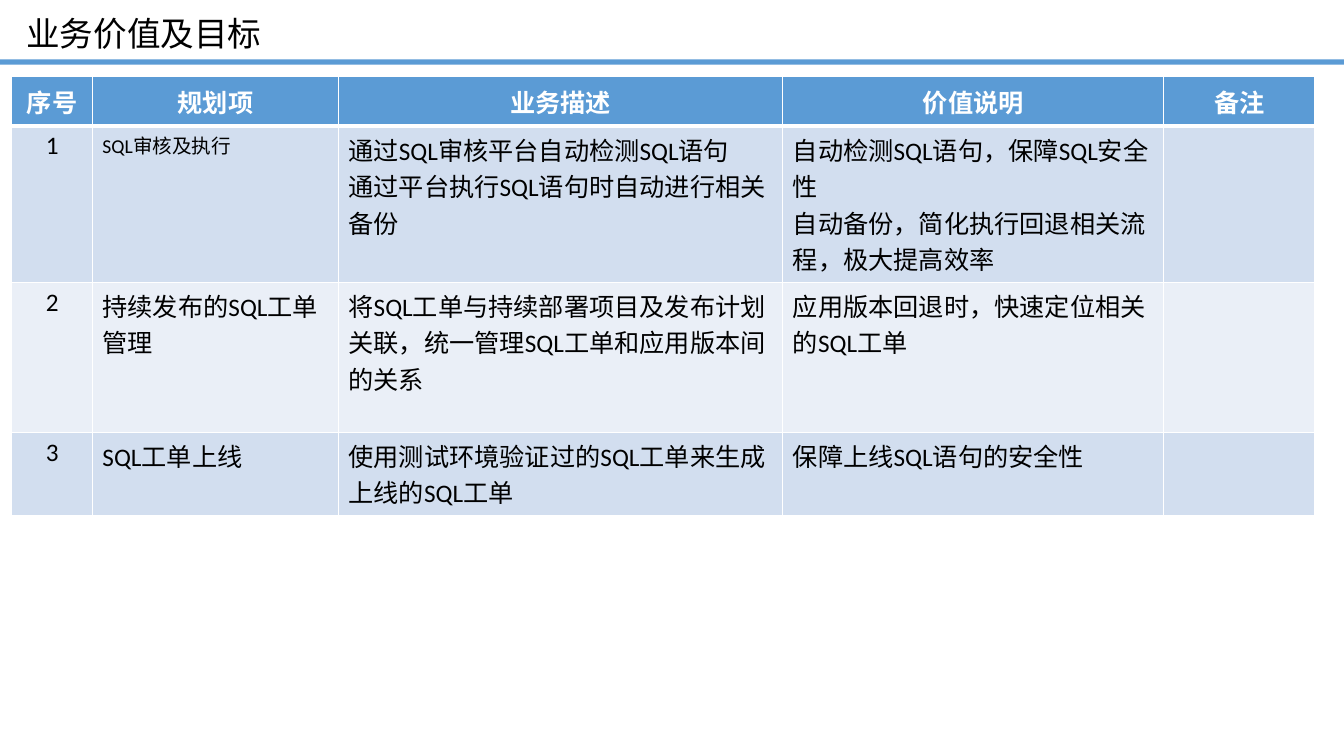
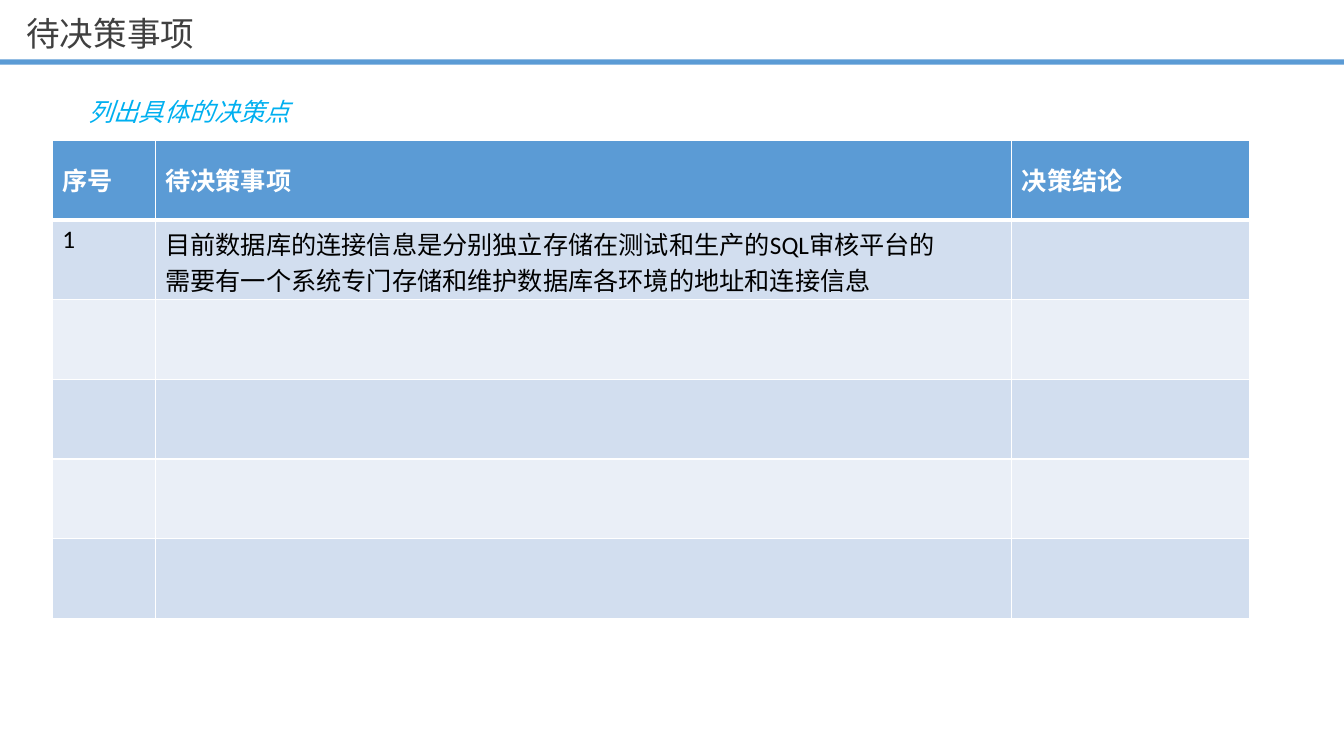
from lxml import etree
from pptx import Presentation
from pptx import util as u
from pptx.dml.color import RGBColor
from pptx.enum import shapes, text
from pptx.oxml import ns

BLUE = "5B9BD5"
BANDS = ("D2DEEF", "EAEFF7")
WHITE = "FFFFFF"
BLACK = "000000"
LATIN = "Calibri"
CHINESE = "Noto Sans CJK SC"
PAGE_WIDTH, PAGE_HEIGHT = 33.87, 19.05

GOALS = [
    ["序号", "规划项", "业务描述", "价值说明", "备注"],
    ["1", "SQL审核及执行",
     "通过SQL审核平台自动检测SQL语句\n通过平台执行SQL语句时自动进行相关备份",
     "自动检测SQL语句，保障SQL安全性\n自动备份，简化执行回退相关流程，极大提高效率", ""],
    ["2", "持续发布的SQL工单管理",
     "将SQL工单与持续部署项目及发布计划关联，统一管理SQL工单和应用版本间的关系",
     "应用版本回退时，快速定位相关的SQL工单", ""],
    ["3", "SQL工单上线", "使用测试环境验证过的SQL工单来生成上线的SQL工单",
     "保障上线SQL语句的安全性", ""],
]
DECISIONS = [
    ["序号", "待决策事项", "决策结论"],
    ["1", "目前数据库的连接信息是分别独立存储在测试和生产的SQL审核平台的\n"
          "需要有一个系统专门存储和维护数据库各环境的地址和连接信息", ""],
] + [[""] * 3 for _ in range(4)]


def color(value):
    return RGBColor.from_string(value)


def paint(target, value):
    target.fill.solid()
    target.fill.fore_color.rgb = color(value)


def add_span(para, words, size, ink, font=LATIN, bold=False, italic=False):
    span = para.add_run()
    span.text = words
    span.font.size = u.Pt(size)
    span.font.name = font
    span.font.bold = bold
    span.font.italic = italic
    span.font.color.rgb = color(ink)
    east_asian = etree.SubElement(span.font._element, ns.qn("a:ea"))
    east_asian.set("typeface", CHINESE)


def add_band(page, layout):
    band = page.shapes.add_shape(shapes.MSO_SHAPE.RECTANGLE, 0, u.Cm(1.5),
                                 u.Cm(PAGE_WIDTH), u.Cm(0.13))
    band.shadow.inherit = False
    paint(band, BLUE)
    band.line.fill.background()
    layout.shapes.element.append(band.element)


def add_page(deck, layout, words, ink):
    page = deck.slides.add_slide(layout)
    title = page.shapes.title
    title.left, title.top = u.Cm(0.41), u.Cm(0.18)
    title.width, title.height = u.Cm(23.24), u.Cm(1.45)
    title.text_frame.vertical_anchor = text.MSO_ANCHOR.MIDDLE
    para = title.text_frame.paragraphs[0]
    para.alignment = text.PP_ALIGN.LEFT
    para.line_spacing = 0.9
    add_span(para, words, 24, ink, font=CHINESE)
    return page


def set_borders(cell, top, bottom):
    properties = cell._tc.get_or_add_tcPr()
    for side, width in (("L", 1), ("R", 1), ("T", top), ("B", bottom)):
        line = etree.SubElement(properties, ns.qn("a:ln" + side), w=str(u.Pt(width)))
        fill = etree.SubElement(line, ns.qn("a:solidFill"))
        etree.SubElement(fill, ns.qn("a:srgbClr"), val=WHITE)


def fill_cell(cell, words, size, ink, bold, align):
    frame = cell.text_frame
    for index, line in enumerate(words.split("\n")):
        para = frame.add_paragraph() if index else frame.paragraphs[0]
        para.alignment = align
        if line:
            add_span(para, line, size, ink, bold=bold)


def add_grid(page, left, top, widths, heights, rows, centred=False, sizes=None):
    sizes = sizes or {}
    frame = page.shapes.add_table(len(rows), len(widths), u.Cm(left), u.Cm(top),
                                  u.Cm(sum(widths)), u.Cm(sum(heights)))
    table = frame.table
    for column, width in zip(table.columns, widths):
        column.width = u.Cm(width)
    for r, (words_row, height) in enumerate(zip(rows, heights)):
        table.rows[r].height = u.Cm(height)
        header = r == 0
        for c, words in enumerate(words_row):
            cell = table.cell(r, c)
            set_borders(cell, 3 if r == 1 else 1, 3 if header else 1)
            paint(cell, BLUE if header else BANDS[(r - 1) % 2])
            if header:
                cell.vertical_anchor = text.MSO_ANCHOR.MIDDLE
            middle = centred and (header or c == 0)
            align = text.PP_ALIGN.CENTER if middle else text.PP_ALIGN.LEFT
            fill_cell(cell, words, sizes.get((r, c), 18),
                      WHITE if header else BLACK, header, align)


def add_hint(page, words):
    box = page.shapes.add_textbox(u.Cm(1.14), u.Cm(1.93), u.Cm(6.5), u.Cm(1.42))
    box.text_frame.word_wrap = False
    box.text_frame.auto_size = text.MSO_AUTO_SIZE.SHAPE_TO_FIT_TEXT
    para = box.text_frame.paragraphs[0]
    para.alignment = text.PP_ALIGN.JUSTIFY
    para.line_spacing = 1.5
    para.space_before = u.Pt(7.8)
    para._p.get_or_add_pPr().set("indent", str(u.Cm(0.84)))
    add_span(para, words, 18, "00B0F0", font="Times New Roman", italic=True)


def main():
    deck = Presentation()
    deck.slide_width, deck.slide_height = u.Cm(PAGE_WIDTH), u.Cm(PAGE_HEIGHT)
    layout = deck.slide_layouts.get_by_name("Title Only")

    goals = add_page(deck, layout, "业务价值及目标", BLACK)
    add_band(goals, layout)
    add_grid(goals, 0.3, 1.93, [2.03, 6.2, 11.2, 9.6, 3.81],
             [1.24, 3.94, 3.78, 2.08], GOALS, centred=True, sizes={(1, 1): 14})

    decisions = add_page(deck, layout, "待决策事项", "404040")
    add_hint(decisions, "列出具体的决策点")
    add_grid(decisions, 1.32, 3.53, [2.59, 21.59, 5.99], [2.01] * 6, DECISIONS)

    deck.save("out.pptx")


if __name__ == "__main__":
    main()
